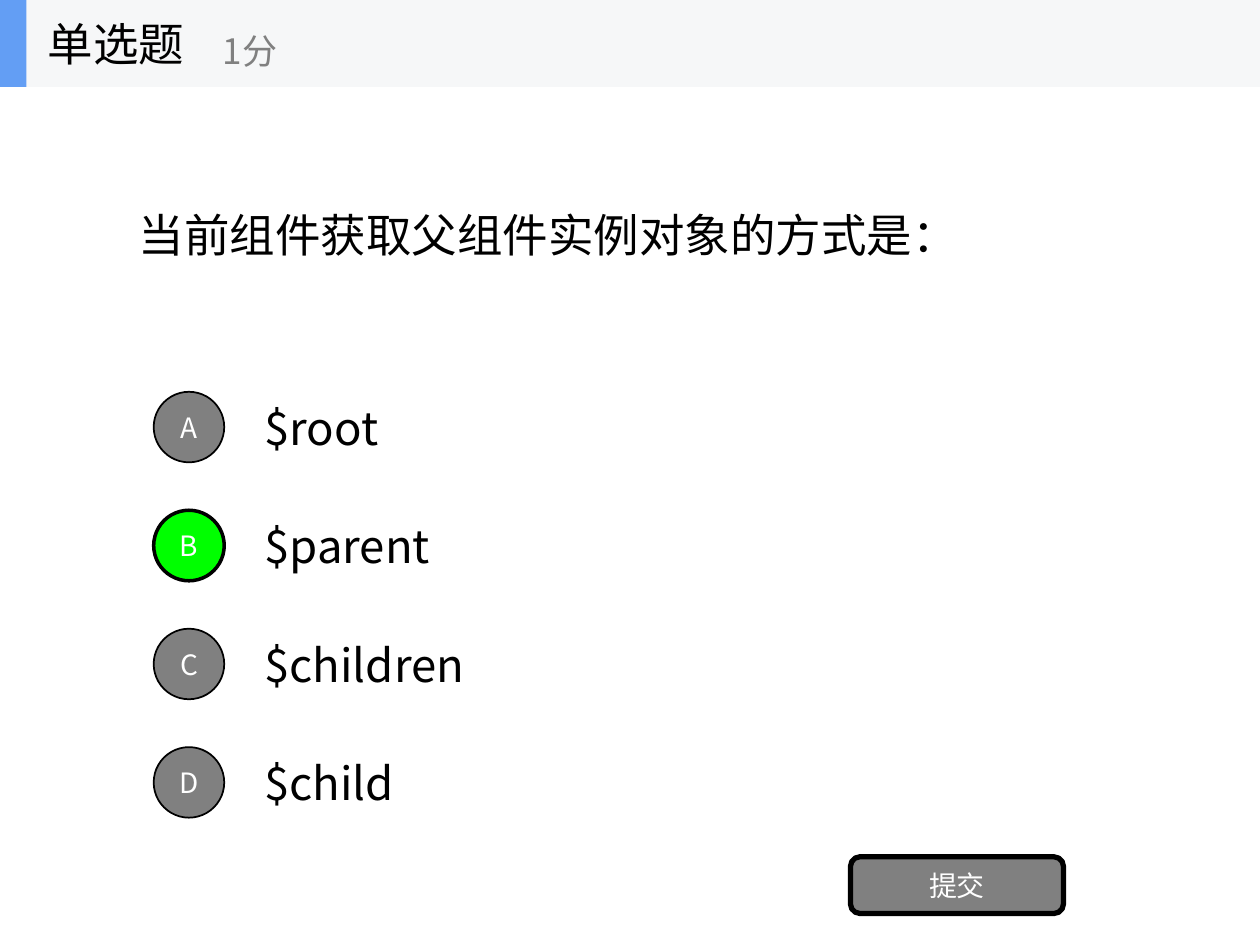
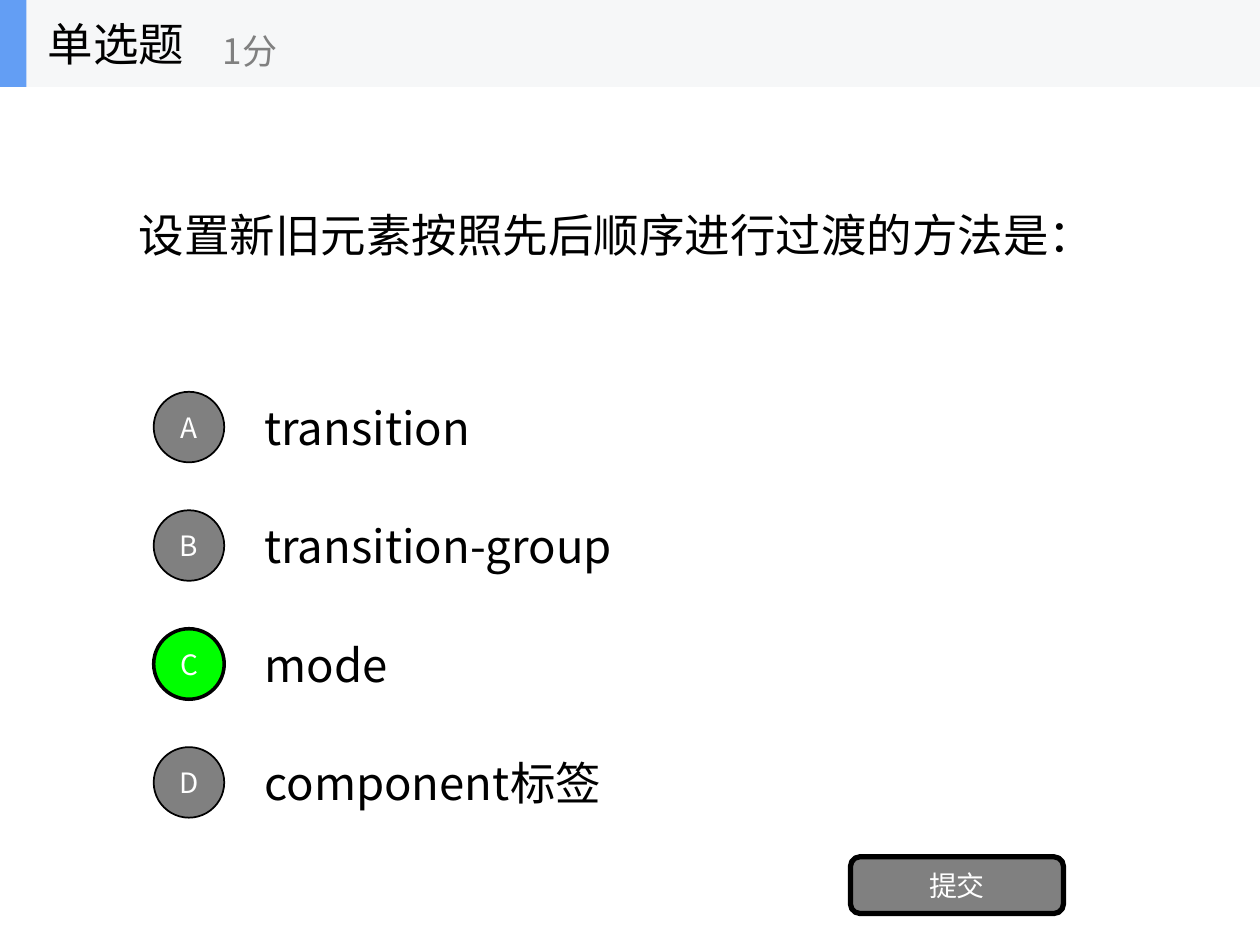
from lxml import etree
from pptx import Presentation
from pptx import util as u
from pptx.dml.color import RGBColor
from pptx.enum import shapes, text
from pptx.oxml import ns

FONT = "Noto Sans CJK SC"
BLACK, WHITE, GRAY = "000000", "FFFFFF", "808080"
CORRECT, BAND, ACCENT = "00FF00", "F6F7F8", "639EF4"
BAND_HEIGHT = 0.69
FIRST_ROW, ROW_PITCH, ROW_HEIGHT = 3.04, 0.94, 0.7
BADGE = 0.56

QUESTIONS = [
    ("当前组件获取父组件实例对象的方式是：",
     ["$root", "$parent", "$children", "$child"], "B"),
    ("设置新旧元素按照先后顺序进行过渡的方法是：",
     ["transition", "transition-group", "mode", "component标签"], "C"),
]


def rgb(value):
    return RGBColor.from_string(value)


def box(left, top, width, height):
    return [u.Inches(length) for length in (left, top, width, height)]


def write(holder, content, size=26, color=BLACK, align=text.PP_ALIGN.LEFT,
          wrap=True, inset=0.1):
    frame = holder.text_frame
    frame.auto_size = text.MSO_AUTO_SIZE.NONE
    frame.word_wrap = wrap
    frame.vertical_anchor = text.MSO_ANCHOR.MIDDLE
    frame.margin_left = frame.margin_right = u.Inches(inset)
    paragraph = frame.paragraphs[0]
    paragraph.alignment = align
    run = paragraph.add_run()
    run.text = content
    run.font.size = u.Pt(size)
    run.font.color.rgb = rgb(color)
    run.font.name = FONT
    east_asian = etree.SubElement(run.font._element, ns.qn("a:ea"))
    east_asian.set("typeface", FONT)


def add_label(parent, area, content, **style):
    write(parent.add_textbox(*box(*area)), content, **style)


def add_block(parent, kind, area, fill, line_width=0):
    block = parent.add_shape(kind, *box(*area))
    block.shadow.inherit = False
    block.fill.solid()
    block.fill.fore_color.rgb = rgb(fill)
    if line_width:
        block.line.color.rgb = rgb(BLACK)
        block.line.width = u.Pt(line_width)
    else:
        block.line.fill.background()
    return block


def add_button(parent, kind, area, caption, fill=GRAY, line_width=1):
    button = add_block(parent, kind, area, fill, line_width)
    write(button, caption, size=16, color=WHITE,
          align=text.PP_ALIGN.CENTER, inset=0)


def add_question(slide, wording):
    question = slide.shapes.title
    question.left, question.top, question.width, question.height = box(
        1, BAND_HEIGHT, 8, 2.34)
    write(question, wording)


def add_options(slide, options, answer):
    rows = [FIRST_ROW + index * ROW_PITCH for index in range(len(options))]
    for top, option in zip(rows, options):
        add_label(slide.shapes, (2, top, 7, ROW_HEIGHT), option)
    for top, letter in zip(rows, "ABCD"):
        chosen = letter == answer
        badge_top = top + (ROW_HEIGHT - BADGE) / 2
        add_button(slide.shapes, shapes.MSO_SHAPE.OVAL,
                   (1.22, badge_top, BADGE, BADGE), letter,
                   fill=CORRECT if chosen else GRAY,
                   line_width=2 if chosen else 1)


def add_header(slide):
    header = slide.shapes.add_group_shape().shapes
    for width, fill in ((10, BAND), (0.21, ACCENT)):
        add_block(header, shapes.MSO_SHAPE.RECTANGLE,
                  (0, 0, width, BAND_HEIGHT), fill)
    add_label(header, (0.28, 0, 2.08, BAND_HEIGHT), "单选题", wrap=False)
    add_label(header, (1.67, 0.12, 2.5, 0.56), "1分",
              size=20, color=GRAY, wrap=False)


def main():
    deck = Presentation()
    deck.slide_width, deck.slide_height = u.Inches(10), u.Inches(7.5)
    title_only = deck.slide_layouts[5]
    for wording, options, answer in QUESTIONS:
        slide = deck.slides.add_slide(title_only)
        add_question(slide, wording)
        add_options(slide, options, answer)
        add_button(slide.shapes, shapes.MSO_SHAPE.ROUNDED_RECTANGLE,
                   (6.75, 6.8, 1.69, 0.45), "提交", line_width=3)
        add_header(slide)
    deck.save("out.pptx")


if __name__ == "__main__":
    main()
